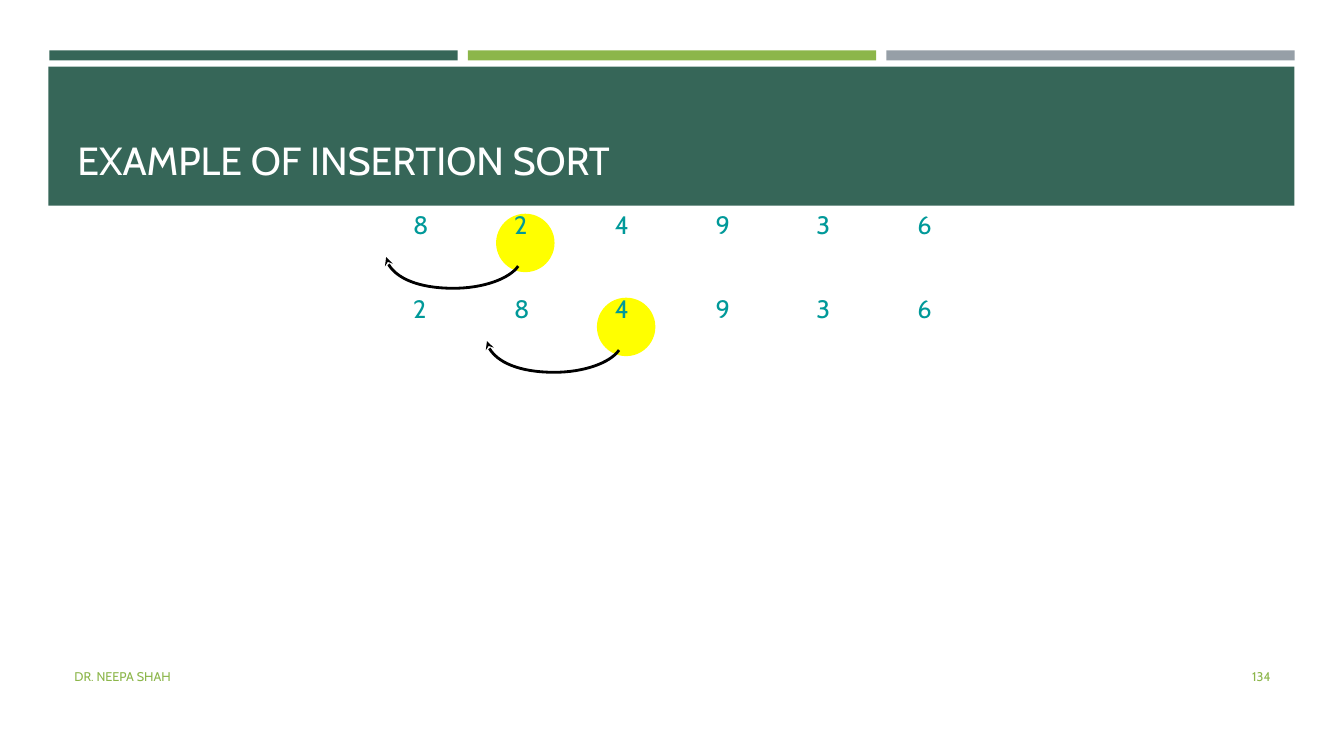
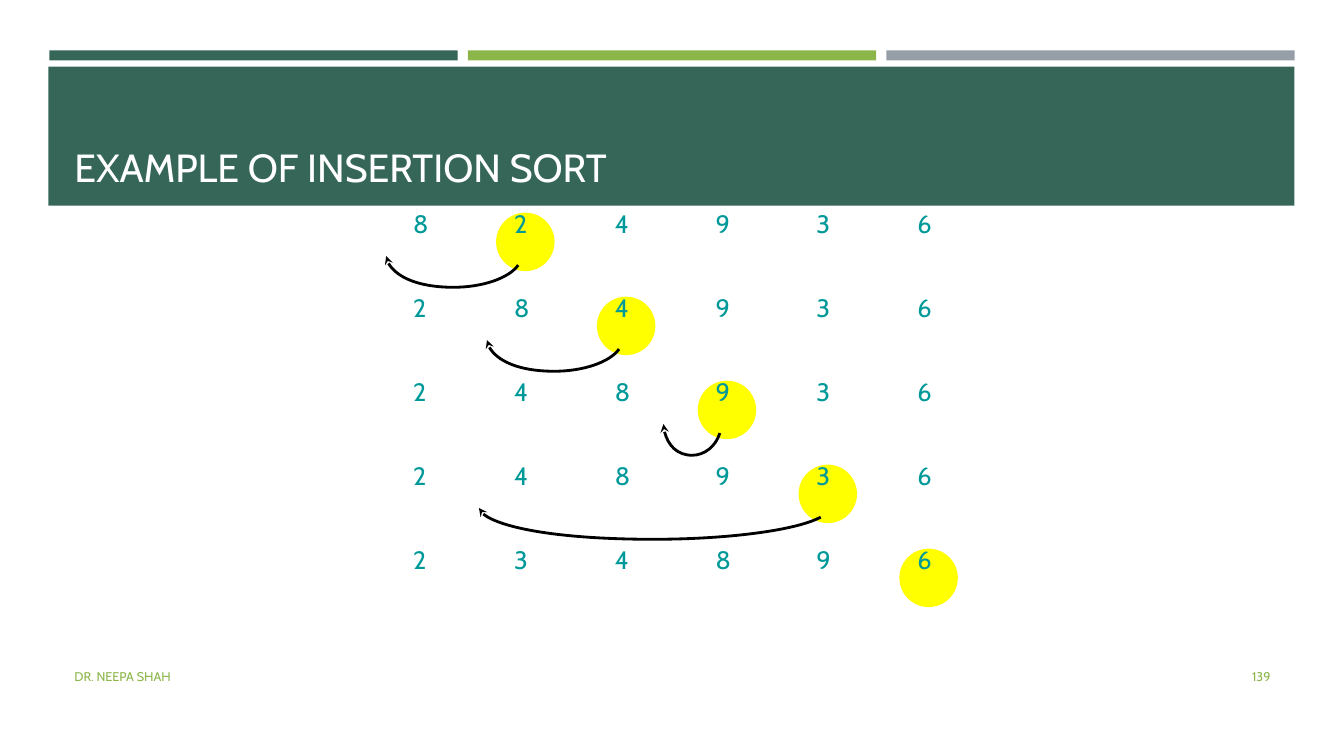
from lxml.etree import SubElement
from pptx import Presentation
from pptx.dml.color import RGBColor
from pptx.enum.shapes import MSO_SHAPE as Preset
from pptx.enum.text import MSO_ANCHOR as Anchor, MSO_AUTO_SIZE as AutoSize, PP_ALIGN as Align
from pptx.oxml.ns import qn
from pptx.util import Inches, Pt

COLORS = {
    "green": "366658",
    "lime": "8CB64A",
    "gray": "969FA7",
    "white": "FFFFFF",
    "yellow": "FFFF00",
    "teal": "009999",
    "black": "000000",
}
FONT = "Cabin"
FIRST_COLUMN = 4
ROW_PITCH = 5 / 6
ARC = [(1, 0.61), (0.93, 0.74), (0.73, 0.83), (0.51, 0.83), (0.24, 0.83), (0.01, 0.69), (0, 0.52)]
STEPS = [
    ("824936", 1, 3.83),
    ("284936", 2, 4.83),
    ("248936", 3, 6.58),
    ("248936", 4, 4.75),
    ("234896", 5, None),
]


class Deck:
    """Holds the shared style and the slide being built."""

    def __init__(self):
        self.presentation = Presentation()
        self.presentation.slide_width = Inches(13.33)
        self.presentation.slide_height = Inches(7.5)
        self.slide = None

    def color(self, name):
        return RGBColor.from_string(COLORS[name])

    def add_slide(self, number, title_left, title_top):
        layout = self.presentation.slide_layouts[6]
        self.slide = self.presentation.slides.add_slide(layout)
        shapes = self.slide.shapes
        for index, name in enumerate(["green", "lime", "gray"]):
            self.block(shapes, Preset.RECTANGLE, 0.49 + 4.15 * index, 0.5, 4.05, 0.1, name)
        self.block(shapes, Preset.RECTANGLE, 0.48, 0.66, 12.36, 1.38, "green")
        self.text(shapes, "EXAMPLE OF INSERTION SORT", title_left, title_top, 9, 1.17,
                  28, "white", anchor=Anchor.BOTTOM)
        self.text(shapes, "DR. NEEPA SHAH", 0.64, 6.51, 7.56, 0.4, 9, "lime", anchor=Anchor.MIDDLE)
        self.text(shapes, str(number), 11.55, 6.51, 1.15, 0.4, 9, "lime",
                  anchor=Anchor.MIDDLE, align=Align.RIGHT)

    def block(self, shapes, preset, left, top, width, height, fill):
        shape = shapes.add_shape(preset, Inches(left), Inches(top), Inches(width), Inches(height))
        shape.shadow.inherit = False
        shape.fill.solid()
        shape.fill.fore_color.rgb = self.color(fill)
        shape.line.fill.background()

    def text(self, shapes, words, left, top, width, height, size, color,
             anchor=Anchor.TOP, align=Align.LEFT, wrap=True):
        box = shapes.add_textbox(Inches(left), Inches(top), Inches(width), Inches(height))
        text_frame = box.text_frame
        text_frame.text = words
        text_frame.word_wrap = wrap
        text_frame.auto_size = AutoSize.NONE if wrap else AutoSize.SHAPE_TO_FIT_TEXT
        text_frame.vertical_anchor = anchor
        paragraph = text_frame.paragraphs[0]
        paragraph.alignment = align
        font = paragraph.runs[0].font
        font.name = FONT
        font.size = Pt(size)
        font.color.rgb = self.color(color)

    def curved_arrow(self, shapes, start, end, top):
        points = [(Inches(end + (start - end) * x), Inches(top + y)) for x, y in ARC]
        builder = shapes.build_freeform(*points[0])
        builder.add_line_segments(points[1:], close=False)
        shape = builder.convert_to_shape()
        shape.shadow.inherit = False
        shape.fill.background()
        shape.line.color.rgb = self.color("black")
        shape.line.width = Pt(2)
        properties = shape.element.spPr
        outline = next(properties.iter(qn("a:path")))
        segments = outline.findall(qn("a:lnTo"))
        for first in range(0, len(segments), 3):
            curve = SubElement(outline, qn("a:cubicBezTo"))
            for segment in segments[first:first + 3]:
                curve.append(segment[0])
                outline.remove(segment)
        SubElement(properties.find(qn("a:ln")), qn("a:tailEnd"), type="stealth")

    def sort_step(self, digits, key, arrow_end, top):
        shapes = self.slide.shapes.add_group_shape().shapes
        key_left = FIRST_COLUMN + key
        self.block(shapes, Preset.OVAL, key_left - 0.08, top + 0.09, 0.58, 0.58, "yellow")
        for column, digit in enumerate(digits):
            self.text(shapes, digit, FIRST_COLUMN + column, top, 0.33, 0.4, 18, "teal", wrap=False)
        if arrow_end is not None:
            self.curved_arrow(shapes, key_left + 0.14, arrow_end, top)

    def sort_steps(self, count, top):
        for row, step in enumerate(STEPS[:count]):
            self.sort_step(*step, top + ROW_PITCH * row)


def main():
    deck = Deck()
    deck.add_slide(134, 0.67, 0.7)
    deck.sort_steps(2, 2.03)
    deck.add_slide(139, 0.64, 0.77)
    deck.sort_steps(5, 2.02)
    deck.presentation.save("out.pptx")


if __name__ == "__main__":
    main()
